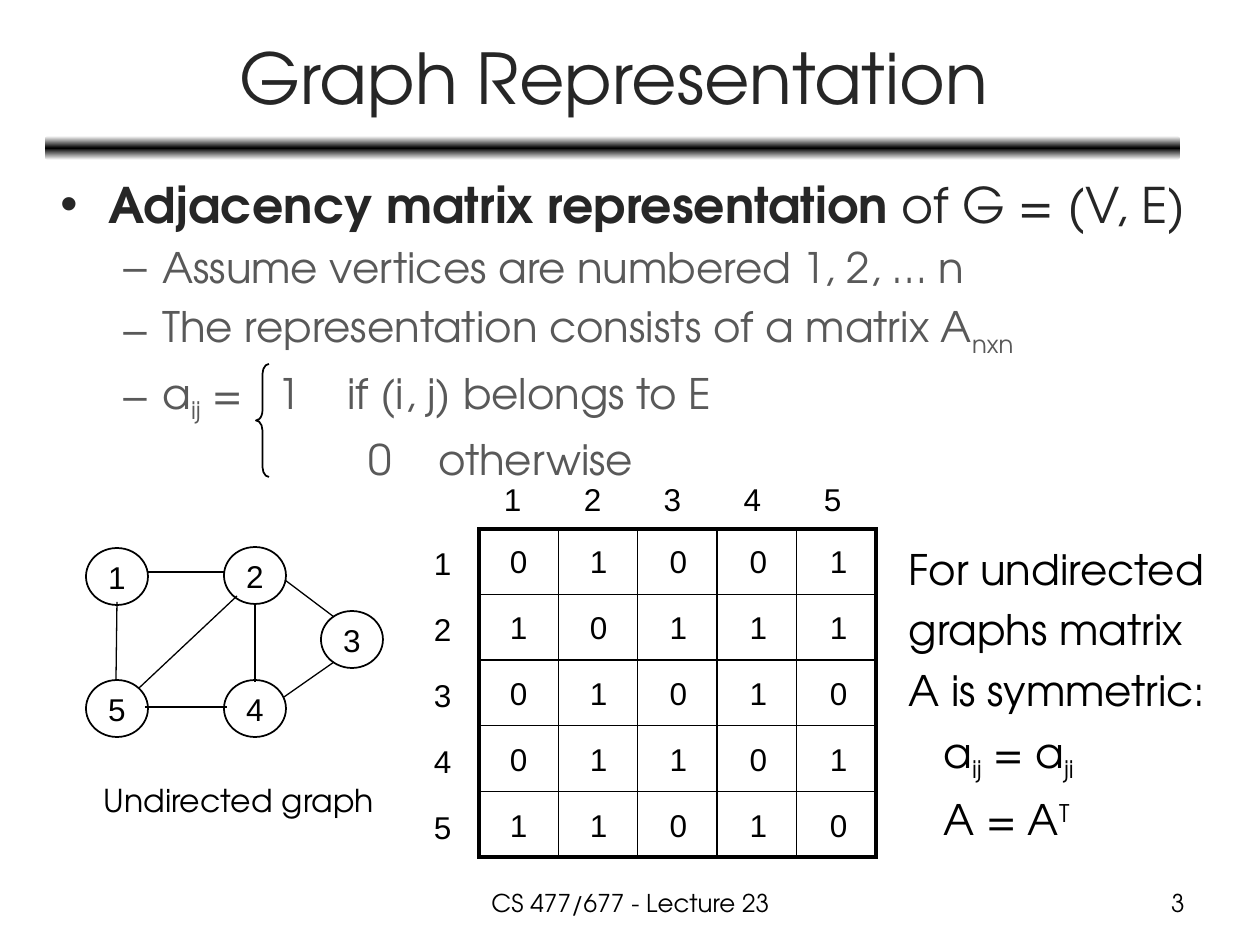
from lxml.etree import SubElement
from pptx import Presentation
from pptx.dml.color import RGBColor
from pptx.enum.shapes import MSO_CONNECTOR, MSO_SHAPE
from pptx.enum.text import MSO_ANCHOR, PP_ALIGN
from pptx.oxml import parse_xml
from pptx.oxml.ns import nsdecls, qn
from pptx.util import Emu, Pt

COLORS = {"black": "000000", "white": "FFFFFF", "title": "262626", "detail": "595959"}
DISPLAY, PLAIN = "TeX Gyre Adventor", "Arial"
SUBSCRIPT, SUPERSCRIPT = -25, 30
MATRIX = ["01001", "10111", "01010", "01101", "11010"]
NODES = {"1": (86, 548), "2": (224, 547), "3": (321, 611), "4": (224, 680), "5": (86, 680)}
EDGES = [
    (147, 572, 224, 572), (255, 604, 255, 682), (116, 680, 117, 602), (237, 596, 139, 688),
    (145, 707, 227, 707), (285, 580, 334, 617), (284, 697, 334, 662),
]


def px(value):
    """Turn pixels into EMU."""
    return Emu(round(value * 914400 / 126))


def rgb(name):
    """Look up a named colour."""
    return RGBColor.from_string(COLORS[name])


def add_run(paragraph, text, size, color="black", font=DISPLAY, bold=False, baseline=0, tracking=0):
    """Add one formatted run to a paragraph."""
    run = paragraph.add_run()
    run.text = text
    run.font.size, run.font.name, run.font.bold = Pt(size), font, bold
    run.font.color.rgb = rgb(color)
    properties = run._r.get_or_add_rPr()
    if baseline:
        properties.set("baseline", str(baseline * 1000))
    if tracking:
        properties.set("spc", str(tracking * 100))


def add_box(slide, left, top, width, height, wrap=True, anchor=MSO_ANCHOR.TOP):
    """Add an empty text box and return its text frame."""
    frame = slide.shapes.add_textbox(px(left), px(top), px(width), px(height)).text_frame
    frame.word_wrap, frame.vertical_anchor = wrap, anchor
    return frame


def add_label(slide, text, box, size, font=DISPLAY, color="black", align=PP_ALIGN.CENTER, **layout):
    """Add a text box with a single run."""
    paragraph = add_box(slide, *box, **layout).paragraphs[0]
    paragraph.alignment = align
    add_run(paragraph, text, size, color, font)


def add_digit(slide, digit, left, top):
    """Add one digit of the matrix or its headings."""
    add_label(slide, digit, (left, top, 43, 50), 18, PLAIN, wrap=False)


def next_paragraph(frame, margin=0, indent=0, bullet=None):
    """Return the next paragraph, with its indents and bullet set."""
    first = frame.paragraphs[0]
    paragraph = frame.add_paragraph() if first.runs else first
    properties = paragraph._p.get_or_add_pPr()
    properties.set("marL", str(px(margin)))
    properties.set("indent", str(px(indent)))
    if bullet:
        SubElement(properties, qn("a:buFont")).set("typeface", PLAIN)
        SubElement(properties, qn("a:buChar")).set("char", bullet)
    return paragraph


def add_rule(slide):
    """Add the shaded bar below the title."""
    bar = slide.shapes.add_shape(MSO_SHAPE.ROUNDED_RECTANGLE, px(45), px(136), px(1135), px(24))
    bar.shadow.inherit = False
    bar.line.fill.background()
    stops = "".join(
        f'<a:gs pos="{position}000"><a:srgbClr val="{COLORS[name]}"/></a:gs>'
        for position, name in [(0, "white"), (50, "black"), (100, "white")]
    )
    gradient = parse_xml(
        f'<a:gradFill {nsdecls("a")} rotWithShape="1"><a:gsLst>{stops}</a:gsLst>'
        '<a:lin ang="5400000" scaled="1"/></a:gradFill>'
    )
    bar._element.spPr.find(qn("a:prstGeom")).addnext(gradient)


def add_outline(slide, kind, left, top, width, height):
    """Add an unfilled shape with a thin black outline."""
    shape = slide.shapes.add_shape(kind, px(left), px(top), px(width), px(height))
    shape.shadow.inherit = False
    shape.fill.background()
    shape.line.color.rgb, shape.line.width = rgb("black"), Pt(1)
    return shape


def add_node(slide, name, left, top):
    """Add a numbered vertex of the graph."""
    node = add_outline(slide, MSO_SHAPE.OVAL, left, top, 62, 57)
    frame = node.text_frame
    frame.word_wrap, frame.vertical_anchor = False, MSO_ANCHOR.MIDDLE
    frame.paragraphs[0].alignment = PP_ALIGN.CENTER
    add_run(frame.paragraphs[0], name, 18, font=PLAIN)


def add_edge(slide, *ends):
    """Add a straight edge of the graph."""
    edge = slide.shapes.add_connector(MSO_CONNECTOR.STRAIGHT, *map(px, ends))
    edge.line.color.rgb, edge.line.width = rgb("black"), Pt(0.75)
    SubElement(edge._element.spPr, qn("a:effectLst"))


def set_borders(cell, widths):
    """Draw the sides of a cell with the given widths in points."""
    properties = cell._tc.get_or_add_tcPr()
    for index, (side, width) in enumerate(widths.items()):
        line = parse_xml(
            f'<a:ln{side} {nsdecls("a")} w="{Pt(width)}"><a:solidFill>'
            f'<a:srgbClr val="{COLORS["black"]}"/></a:solidFill></a:ln{side}>'
        )
        properties.insert(index, line)


def add_matrix(slide):
    """Add the matrix grid, its headings and its values."""
    size = len(MATRIX)
    last = size - 1
    table = slide.shapes.add_table(size, size, px(479), px(529), px(397), px(328)).table
    table.first_row = table.horz_banding = False
    for row, values in enumerate(MATRIX):
        heading = str(row + 1)
        add_digit(slide, heading, 421, 538 + 66 * row)
        add_digit(slide, heading, 491 + 80 * row, 474)
        for column, value in enumerate(values):
            cell = table.cell(row, column)
            cell.fill.background()
            outer = {"L": column == 0, "R": column == last, "T": row == 0, "B": row == last}
            set_borders(cell, {side: 2.25 if edge else 1 for side, edge in outer.items()})
            add_digit(slide, value, 497 + 80 * column, 536 + 66 * row)


def add_definition(slide):
    """Add the bulleted definition of the adjacency matrix."""
    frame = add_box(slide, 48, 168, 1176, 699)
    heading = next_paragraph(frame, 48, -48, "•")
    add_run(heading, "Adjacency matrix representation", 28, "title", bold=True)
    add_run(heading, " of G = (V, E)", 28, "title")
    details = [
        [("Assume vertices are numbered 1, 2, … n", {})],
        [("The representation consists of a matrix A", {}), ("nxn", {"baseline": SUBSCRIPT})],
        [("a", {}), ("ij", {"baseline": SUBSCRIPT}), (" =", {}), (" ", {"tracking": 13}),
         ("1", {}), (" ", {"tracking": 20}), ("if (i, j) belongs to E", {})],
    ]
    for runs in details:
        paragraph = next_paragraph(frame, 102, -39, "–")
        for text, style in runs:
            add_run(paragraph, text, 24, "detail", **style)
    otherwise = next_paragraph(frame, 308)
    for text, tracking in [("0", 0), (" ", 20), ("otherwise", 0)]:
        add_run(otherwise, text, 24, "detail", tracking=tracking)
    for paragraph in frame.paragraphs:
        paragraph.space_before = Pt(5)
    brace = add_outline(slide, MSO_SHAPE.LEFT_BRACE, 256, 364, 13, 113)
    brace.adjustments[0] = 0.77


def add_symmetry(slide):
    """Add the remark on symmetric matrices."""
    frame = add_box(slide, 896, 527, 340, 315)
    remarks = [
        (0, [("For undirected graphs matrix A is symmetric:", 0)]),
        (35, [("a", 0), ("ij", SUBSCRIPT), (" = a", 0), ("ji", SUBSCRIPT)]),
        (35, [("A = A", 0), ("T", SUPERSCRIPT)]),
    ]
    for margin, runs in remarks:
        paragraph = next_paragraph(frame, margin)
        paragraph.line_spacing = 1.2
        for text, baseline in runs:
            add_run(paragraph, text, 24, baseline=baseline)


def main():
    """Build and save the slide."""
    presentation = Presentation()
    presentation.slide_width, presentation.slide_height = px(1260), px(945)
    slide = presentation.slides.add_slide(presentation.slide_layouts[6])
    add_rule(slide)
    add_label(slide, "Graph Representation", (47, 14, 1134, 125), 40, color="title",
              anchor=MSO_ANCHOR.MIDDLE)
    add_definition(slide)
    for name, position in NODES.items():
        add_node(slide, name, *position)
    for ends in EDGES:
        add_edge(slide, *ends)
    add_label(slide, "Undirected graph", (91, 775, 301, 50), 18, align=PP_ALIGN.LEFT, wrap=False)
    add_matrix(slide)
    add_symmetry(slide)
    add_label(slide, "CS 477/677 - Lecture 23", (431, 882, 399, 44), 14)
    add_label(slide, "3", (903, 882, 294, 44), 14, align=PP_ALIGN.RIGHT)
    presentation.save("out.pptx")


if __name__ == "__main__":
    main()
